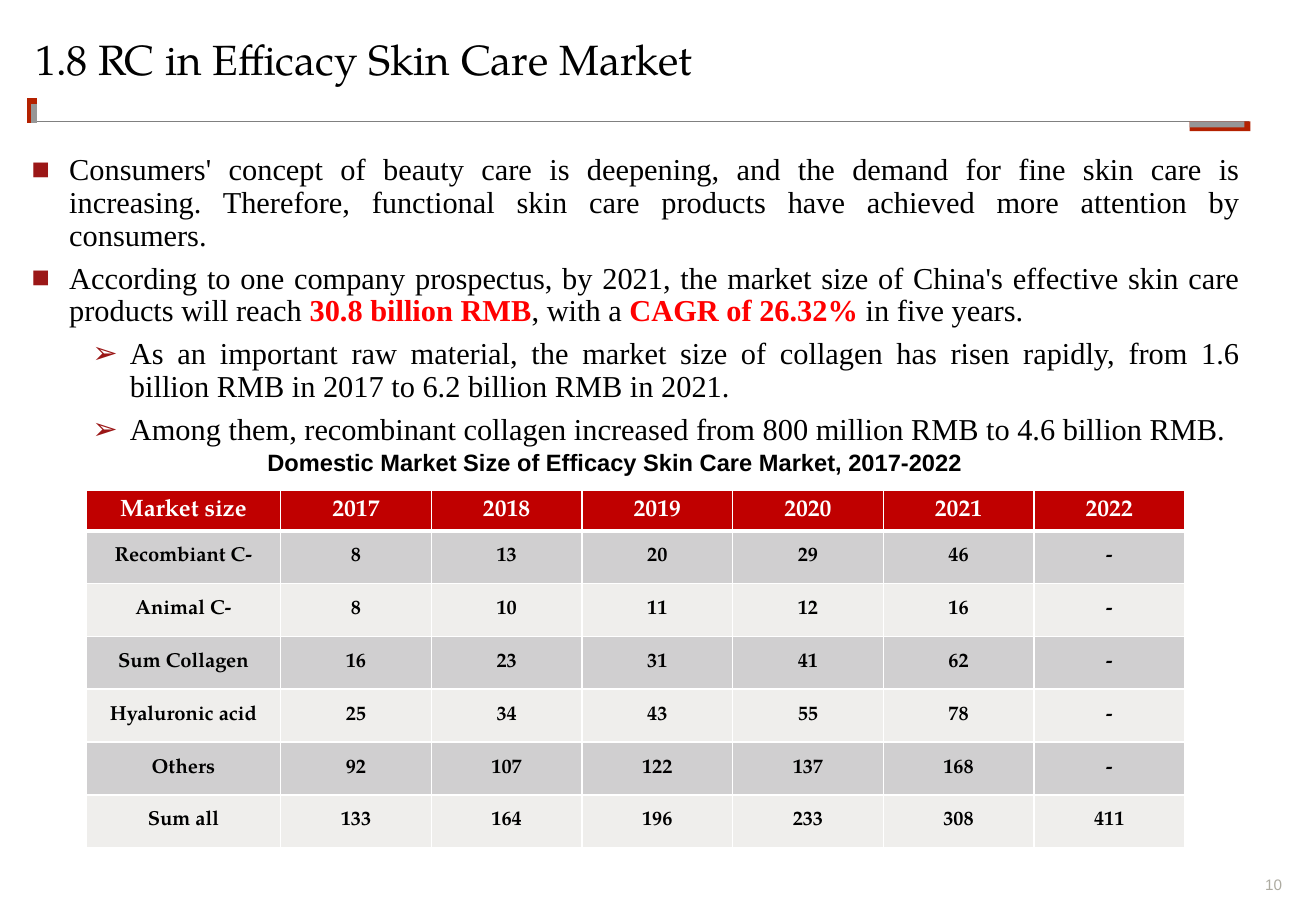
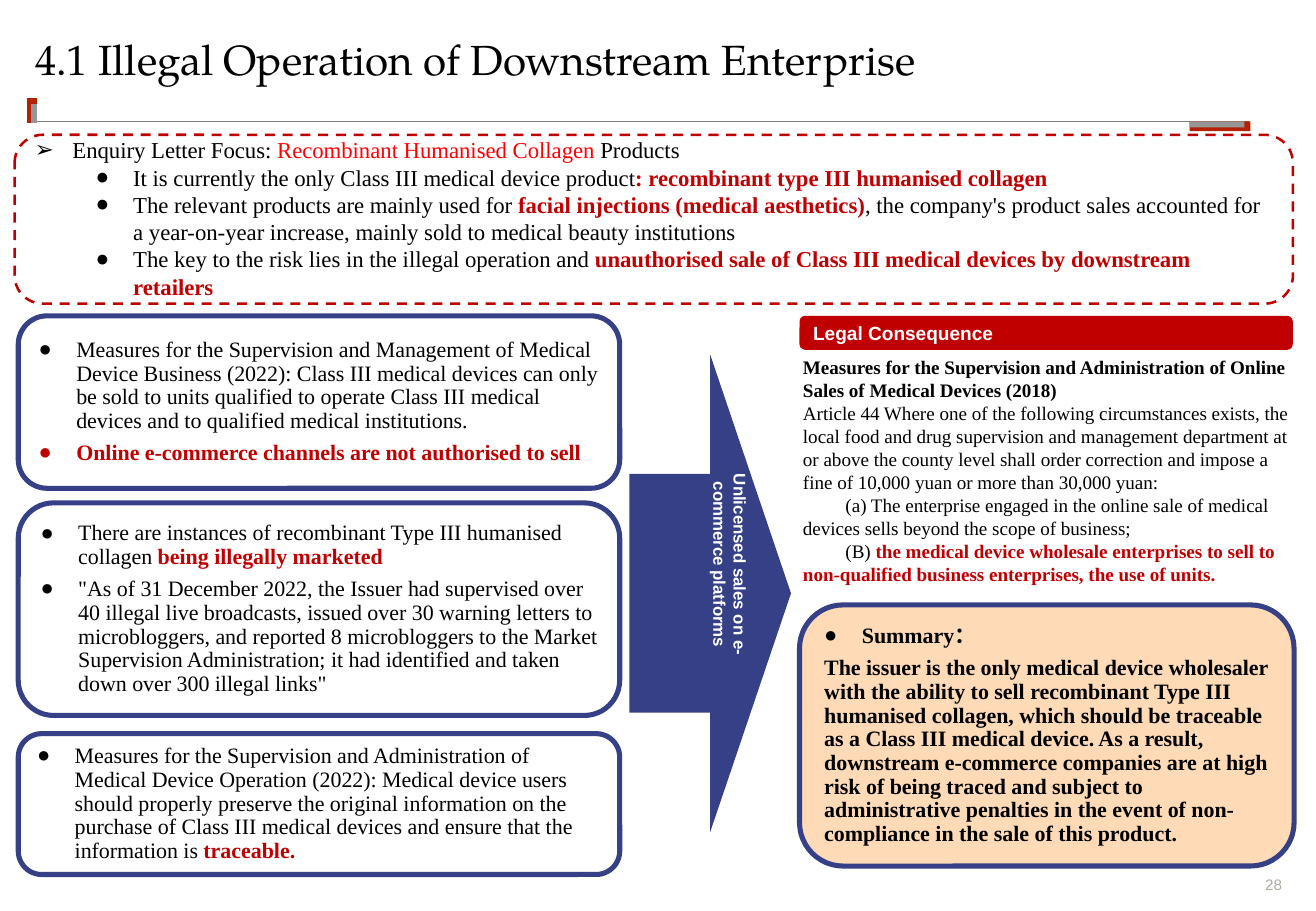
"""Build two slides on the recombinant collagen market and its legal risks."""
from lxml import etree
from pptx import Presentation
from pptx.dml.color import RGBColor
from pptx.enum.dml import MSO_LINE
from pptx.enum.shapes import MSO_CONNECTOR, MSO_SHAPE
from pptx.enum.text import MSO_ANCHOR, MSO_AUTO_SIZE, PP_ALIGN
from pptx.oxml.ns import qn
from pptx.util import Inches, Pt

COLORS = {
    "black": "000000", "white": "FFFFFF", "red": "FF0000", "crimson": "C00000",
    "bullet": "9B1717", "brick": "B42100", "grey": "969696", "rule": "808080",
    "number": "ADABA1", "band": "D0CFD0", "light": "EFEEEC", "navy": "364086",
    "peach": "FEDAB6",
}
SERIF, SANS, DISPLAY = "Times New Roman", "Arial", "TeX Gyre Pagella"

HANG = 0.31
SQUARE = {"bullet": "■", "margin": HANG, "indent": -HANG}
ARROW = {"bullet": "➢", "margin": HANG, "indent": -HANG, "spacing": 0.9}
SUB_ARROW = {"bullet": "➢", "margin": 0.81, "indent": -HANG, "level": 1}
DOT = {"bullet": "●", "margin": HANG, "indent": -HANG}
SUB_DOT = {"bullet": "●", "margin": 0.81, "indent": -HANG, "level": 1}
CLAUSE = {"indent": 0.35}
PLAIN = {}

MARKET_TITLE = "1.8 RC in Efficacy Skin Care Market"
MARKET_POINTS = [
    (SQUARE, ["Consumers' concept of beauty care is deepening, and the demand for fine skin care is "
              "increasing. Therefore, functional skin care products have achieved more attention by "
              "consumers."]),
    (SQUARE, ["According to one company prospectus, by 2021, the market size of China's effective "
              "skin care products will reach ", ("30.8 billion RMB", "red", True), ", with a ",
              ("CAGR of 26.32%", "red", True), " in five years."]),
    (SUB_ARROW, ["As an important raw material, the market size of collagen has risen rapidly, from "
                 "1.6 billion RMB in 2017 to 6.2 billion RMB in 2021."]),
    (SUB_ARROW, ["Among them, recombinant collagen increased from 800 million RMB to 4.6 billion RMB."]),
]
TABLE_CAPTION = "Domestic Market Size of Efficacy Skin Care Market, 2017-2022"
MARKET_SIZES = [
    ("Market size", "2017", "2018", "2019", "2020", "2021", "2022"),
    ("Recombiant C-", "8", "13", "20", "29", "46", "-"),
    ("Animal C-", "8", "10", "11", "12", "16", "-"),
    ("Sum Collagen", "16", "23", "31", "41", "62", "-"),
    ("Hyaluronic acid", "25", "34", "43", "55", "78", "-"),
    ("Others", "92", "107", "122", "137", "168", "-"),
    ("Sum all", "133", "164", "196", "233", "308", "411"),
]

LEGAL_TITLE = "4.1 Illegal Operation of Downstream Enterprise"
ENQUIRY_POINTS = [
    (ARROW, ["Enquiry Letter Focus: ", ("Recombinant Humanised Collagen", "red", False), " Products"]),
    (SUB_DOT, ["It is currently the only Class III medical device product",
               (": recombinant type III humanised collagen", "crimson", True)]),
    (SUB_DOT, ["The relevant products are mainly used for ",
               ("facial injections (medical aesthetics)", "crimson", True),
               ", the company's product sales accounted for a year-on-year increase, mainly sold to "
               "medical beauty institutions"]),
    (SUB_DOT, ["The key to the risk lies in the illegal operation and",
               (" unauthorised sale of Class III medical devices by downstream retailers",
                "crimson", True)]),
]
EVIDENCE_BOXES = [
    (2.6, 1.42, [
        (DOT, ["Measures for the Supervision and Management of Medical Device Business (2022): Class III "
               "medical devices can only be sold to units qualified to operate Class III medical devices "
               "and to qualified medical institutions."]),
        (DOT, [("Online e-commerce channels are not authorised to sell", "crimson", True)]),
    ]),
    (4.14, 1.75, [
        (DOT, ["There are instances of recombinant Type III humanised collagen",
               (" being illegally marketed", "crimson", True)]),
        (DOT, ['"As of 31 December 2022, the Issuer had supervised over 40 illegal live broadcasts, '
               "issued over 30 warning letters to microbloggers, and reported 8 microbloggers to the "
               "Market Supervision Administration; it had identified and taken down over 300 illegal "
               'links"']),
    ]),
    (6.04, 1.16, [
        (DOT, ["Measures for the Supervision and Administration of Medical Device Operation (2022): "
               "Medical device users should properly preserve the original information on the purchase "
               "of Class III medical devices and ensure that the information is ",
               ("traceable.", "crimson", True)]),
    ]),
]
ARROW_LABEL = "Unlicensed sales on e-commerce platforms"
CONSEQUENCE_HEADING = "Legal Consequence"
CONSEQUENCES = [
    (PLAIN, [("Measures for the Supervision and Administration of Online Sales of Medical Devices (2018)",
              "black", True)]),
    (PLAIN, ["Article 44 Where one of the following circumstances exists, the local food and drug "
             "supervision and management department at or above the county level shall order correction "
             "and impose a fine of 10,000 yuan or more than 30,000 yuan:"]),
    (CLAUSE, ["(a) The enterprise engaged in the online sale of medical devices sells beyond the scope "
              "of business;"]),
    (CLAUSE, ["(B) ", ("the medical device wholesale enterprises to sell to non-qualified business "
                       "enterprises, the use of units.", "crimson", True)]),
]
SUMMARY = [
    (DOT, ["Summary："]),
    (PLAIN, ["The issuer is the only medical device wholesaler with the ability to sell recombinant Type III "
             "humanised collagen, which should be traceable as a Class III medical device. As a result, "
             "downstream e-commerce companies are at high risk of being traced and subject to "
             "administrative penalties in the event of non-compliance in the sale of this product."]),
]


def rgb(name):
    return RGBColor.from_string(COLORS[name])


def place(shape, box):
    shape.left, shape.top, shape.width, shape.height = map(Inches, box)


def set_font(font, name, size, color, bold):
    font.name, font.size, font.bold = name, Pt(size), bold
    font.color.rgb = rgb(color)


def set_bullet(paragraph, style, color):
    properties = paragraph._p.get_or_add_pPr()
    properties.set("marL", str(Inches(style.get("margin", 0))))
    properties.set("indent", str(Inches(style.get("indent", 0))))
    if "bullet" not in style:
        etree.SubElement(properties, qn("a:buNone"))
        return
    if color:
        holder = etree.SubElement(properties, qn("a:buClr"))
        etree.SubElement(holder, qn("a:srgbClr"), val=COLORS[color])
    etree.SubElement(properties, qn("a:buFont"), typeface=SANS)
    etree.SubElement(properties, qn("a:buChar"), char=style["bullet"])


def write(shape, paragraphs, font=SERIF, size=13, color="black", bold=False, align=PP_ALIGN.LEFT,
          spacing=1.0, before=0, after=0, anchor=MSO_ANCHOR.TOP, inset=None, bullet_color=None):
    frame = shape.text_frame
    frame.word_wrap, frame.auto_size = True, MSO_AUTO_SIZE.NONE
    frame.vertical_anchor = anchor
    if inset is not None:
        frame.margin_left = frame.margin_right = frame.margin_top = frame.margin_bottom = Inches(inset)
    for index, (style, runs) in enumerate(paragraphs):
        paragraph = frame.add_paragraph() if index else frame.paragraphs[0]
        paragraph.level = style.get("level", 0)
        set_bullet(paragraph, style, bullet_color)
        paragraph.alignment = align
        paragraph.line_spacing = style.get("spacing", spacing)
        paragraph.space_before, paragraph.space_after = Pt(before if index else 0), Pt(after)
        set_font(paragraph.font, font, size, color, bold)
        for part in runs:
            text, run_color, run_bold = (part, color, bold) if isinstance(part, str) else part
            run = paragraph.add_run()
            run.text = text
            if not isinstance(part, str):
                run.font.color.rgb, run.font.bold = rgb(run_color), run_bold


def add_text(slide, box, paragraphs, **options):
    shape = slide.shapes.add_textbox(*map(Inches, box))
    write(shape, paragraphs, **options)
    return shape


def add_box(slide, kind, box, fill=None, line=None, width=1):
    shape = slide.shapes.add_shape(kind, *map(Inches, box))
    shape.shadow.inherit = False
    if fill:
        shape.fill.solid()
        shape.fill.fore_color.rgb = rgb(fill)
    else:
        shape.fill.background()
    if line:
        shape.line.color.rgb, shape.line.width = rgb(line), Pt(width)
    else:
        shape.line.fill.background()
    return shape


def add_line(slide, ends, color, width):
    line = slide.shapes.add_connector(MSO_CONNECTOR.STRAIGHT, *map(Inches, ends))
    line.line.color.rgb, line.line.width = rgb(color), Pt(width)
    etree.SubElement(line.element.spPr, qn("a:effectLst"))


def add_slide(presentation, layout, title, number):
    slide = presentation.slides.add_slide(presentation.slide_layouts[layout])
    place(slide.shapes.title, (0.29, 0.32, 10.25, 0.67))
    write(slide.shapes.title, [(PLAIN, [title])], font=DISPLAY, size=25, spacing=0.9, inset=0)
    add_line(slide, (0.3, 1, 10.28, 1), "rule", 1)
    add_line(slide, (0.26, 1.01, 0.26, 0.81), "brick", 6)
    add_line(slide, (0.28, 1.01, 0.28, 0.86), "grey", 3)
    add_box(slide, MSO_SHAPE.RECTANGLE, (9.79, 1, 0.5, 0.08), "brick")
    add_box(slide, MSO_SHAPE.RECTANGLE, (9.79, 1, 0.45, 0.05), "grey")
    add_text(slide, (10.24, 7.21, 0.31, 0.15), [(PLAIN, [number])], font=SANS, size=9,
             color="number", align=PP_ALIGN.RIGHT, anchor=MSO_ANCHOR.BOTTOM, inset=0)
    return slide


def set_borders(cell, widths):
    properties = cell._tc.get_or_add_tcPr()
    for side, width in zip("LRTB", widths):
        border = etree.SubElement(properties, qn(f"a:ln{side}"), w=str(Pt(width)))
        fill = etree.SubElement(border, qn("a:solidFill"))
        etree.SubElement(fill, qn("a:srgbClr"), val=COLORS["white"])


def add_market_table(slide):
    rows, columns = len(MARKET_SIZES), len(MARKET_SIZES[0])
    table = slide.shapes.add_table(rows, columns, *map(Inches, (0.71, 4.04, 9.04, 2.95))).table
    for index, column in enumerate(table.columns):
        column.width = Inches(1.24 if index else 1.6)
    for index, values in enumerate(MARKET_SIZES):
        table.rows[index].height = Inches(0.435 if index else 0.33)
        fill = ("light", "band")[index % 2] if index else "crimson"
        for cell, value in zip(table.rows[index].cells, values):
            set_borders(cell, (1, 1, 3 if index == 1 else 1, 1 if index else 3))
            cell.fill.solid()
            cell.fill.fore_color.rgb = rgb(fill)
            cell.vertical_anchor = MSO_ANCHOR.MIDDLE
            cell.text = value
            paragraph = cell.text_frame.paragraphs[0]
            paragraph.alignment = PP_ALIGN.CENTER
            set_font(paragraph.font, DISPLAY, 12 if index else 14, "black" if index else "white", True)


def build_market_slide(presentation):
    slide = add_slide(presentation, 1, MARKET_TITLE, "10")
    body = slide.placeholders[1]
    place(body, (0.26, 1.27, 9.95, 2.38))
    write(body, MARKET_POINTS, size=18, align=PP_ALIGN.JUSTIFY, spacing=0.9, before=6, inset=0,
          bullet_color="bullet")
    add_market_table(slide)
    add_text(slide, (2.2, 3.71, 6.55, 0.21), [(PLAIN, [TABLE_CAPTION])], font=SANS, size=14,
             bold=True, spacing=0.9, inset=0)


def build_legal_slide(presentation):
    slide = add_slide(presentation, 5, LEGAL_TITLE, "28")
    rounded, middle = MSO_SHAPE.ROUNDED_RECTANGLE, MSO_ANCHOR.MIDDLE
    enquiry = add_box(slide, rounded, (0.12, 1.11, 10.52, 1.39), line="crimson", width=1.5)
    enquiry.line.dash_style = MSO_LINE.DASH
    write(enquiry, ENQUIRY_POINTS, size=13.5, anchor=middle)

    arrow = add_box(slide, MSO_SHAPE.RIGHT_ARROW, (5.18, 2.92, 1.33, 3.93), "navy")
    write(arrow, [(PLAIN, [ARROW_LABEL])], font=SANS, size=10, color="white", bold=True,
          align=PP_ALIGN.CENTER, inset=0)
    arrow.text_frame.margin_bottom = Inches(0.35)
    arrow.element.txBody.bodyPr.set("vert", "eaVert")

    for top, height, points in EVIDENCE_BOXES:
        evidence = add_box(slide, rounded, (0.15, top, 4.95, height), line="navy", width=3)
        write(evidence, points, spacing=0.9, after=5, anchor=middle)

    heading = add_box(slide, rounded, (6.58, 2.6, 4.06, 0.28), "crimson")
    write(heading, [(PLAIN, [CONSEQUENCE_HEADING])], font=SANS, size=11.3, color="white", bold=True,
          anchor=middle)
    add_text(slide, (6.51, 2.88, 4.24, 2.01), CONSEQUENCES, size=11.3)
    summary = add_box(slide, rounded, (6.58, 4.98, 4.07, 2.15), "peach", "navy", 3)
    write(summary, SUMMARY, bold=True, spacing=0.9, after=5, anchor=middle)


def main():
    presentation = Presentation()
    presentation.slide_width, presentation.slide_height = Inches(10.83), Inches(7.5)
    build_market_slide(presentation)
    build_legal_slide(presentation)
    presentation.save("out.pptx")


if __name__ == "__main__":
    main()
